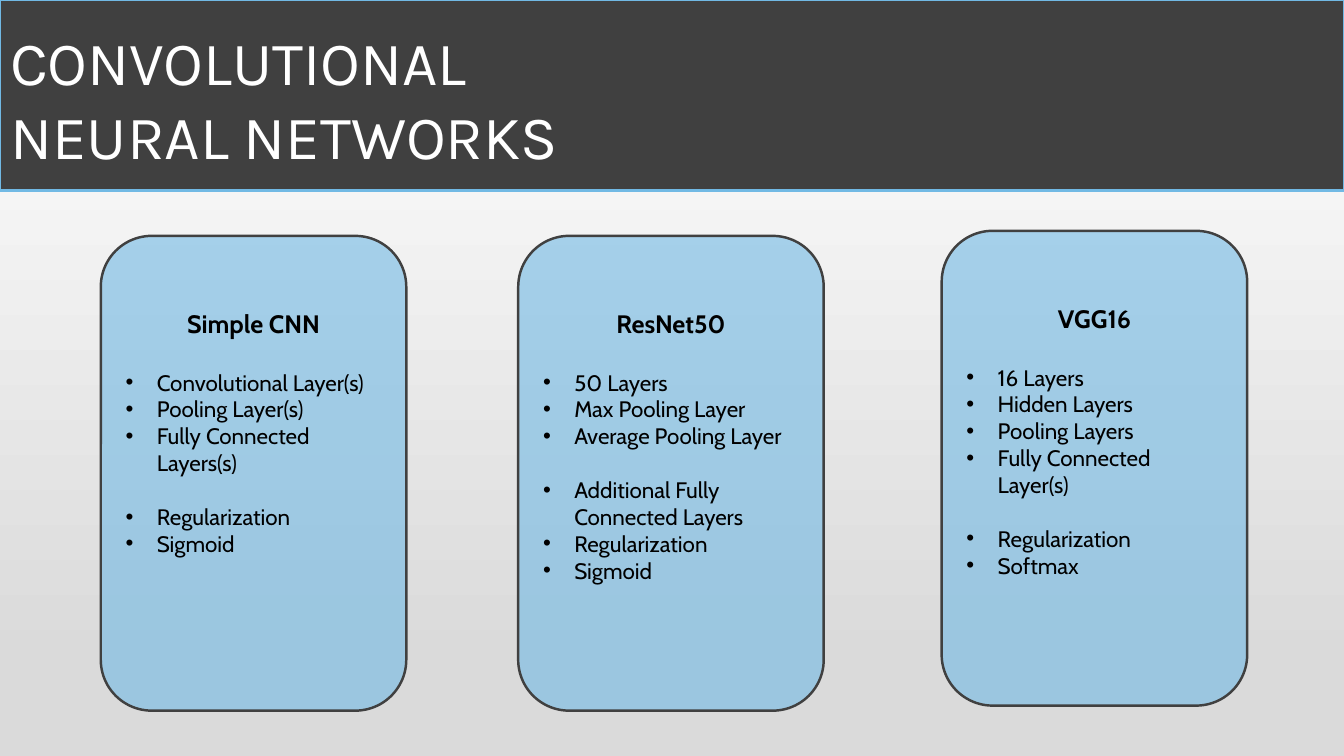
from lxml import etree
from pptx import Presentation
from pptx.dml.color import RGBColor
from pptx.enum.shapes import MSO_SHAPE
from pptx.enum.text import MSO_ANCHOR, PP_ALIGN
from pptx.oxml.ns import qn
from pptx.util import Inches, Pt

TITLE = "CONVOLUTIONAL NEURAL NETWORKS"
CARDS = [
    ("Simple CNN", 1, 2.34, [
        ["Convolutional Layer(s)", "Pooling Layer(s)", "Fully Connected Layers(s)"],
        ["Regularization", "Sigmoid"],
    ]),
    ("ResNet50", 5.14, 2.34, [
        ["50 Layers", "Max Pooling Layer", "Average Pooling Layer"],
        ["Additional Fully Connected Layers", "Regularization", "Sigmoid"],
    ]),
    ("VGG16", 9.34, 2.29, [
        ["16 Layers", "Hidden Layers", "Pooling Layers", "Fully Connected Layer(s)"],
        ["Regularization", "Softmax"],
    ]),
]

WHITE = RGBColor(0xFF, 0xFF, 0xFF)
BLACK = RGBColor(0x00, 0x00, 0x00)
CHARCOAL = RGBColor(0x40, 0x40, 0x40)
SILVER = RGBColor(0xDA, 0xDA, 0xDA)
SKY = RGBColor(0x71, 0xB9, 0xE4)
CARD_WIDTH, CARD_HEIGHT = 3.03, 4.71
HEADING_GAP, GROUP_GAP = 21.6, 19.2


def add_box(page, kind, left, top, width, height, fill, line):
    box = page.shapes.add_shape(
        kind, Inches(left), Inches(top), Inches(width), Inches(height))
    box.shadow.inherit = False
    box.fill.solid()
    box.fill.fore_color.rgb = fill
    box.line.color.rgb = line
    box.line.width = Pt(1.75)
    return box


def add_text(para, text, font, size, color, bold=False):
    span = para.add_run()
    span.text = text
    span.font.name = font
    span.font.size = Pt(size)
    span.font.color.rgb = color
    span.font.bold = bold


def add_bullet(para):
    properties = para._p.get_or_add_pPr()
    properties.set("marL", str(Inches(0.31)))
    properties.set("indent", str(Inches(-0.31)))
    etree.SubElement(properties, qn("a:buFont")).set("typeface", "Arial")
    etree.SubElement(properties, qn("a:buChar")).set("char", "•")


def add_card(page, heading, left, top, groups):
    card = add_box(page, MSO_SHAPE.ROUNDED_RECTANGLE, left, top,
                   CARD_WIDTH, CARD_HEIGHT, SKY, CHARCOAL)
    color = card.fill._xPr.find(qn("a:solidFill"))[0]
    etree.SubElement(color, qn("a:alpha")).set("val", "60000")
    frame = card.text_frame
    frame.word_wrap = True
    frame.vertical_anchor = MSO_ANCHOR.TOP
    frame.margin_top = Inches(0.57)
    para = frame.paragraphs[0]
    para.alignment = PP_ALIGN.CENTER
    para.space_after = Pt(HEADING_GAP)
    add_text(para, heading, "Cabin", 18, BLACK, True)
    for group_index, group in enumerate(groups):
        for item_index, item in enumerate(group):
            para = frame.add_paragraph()
            para.alignment = PP_ALIGN.LEFT
            if group_index and not item_index:
                para.space_before = Pt(GROUP_GAP)
            add_bullet(para)
            add_text(para, item, "Cabin", 16, BLACK)


def main():
    deck = Presentation()
    deck.slide_width, deck.slide_height = Inches(13.33), Inches(7.5)
    page = deck.slides.add_slide(deck.slide_layouts[5])

    backdrop = page.background.fill
    backdrop.gradient()
    backdrop.gradient_angle = 270
    for stop, color, position in zip(backdrop.gradient_stops, (WHITE, SILVER), (0, 0.88)):
        stop.color.rgb = color
        stop.position = position

    banner = add_box(page, MSO_SHAPE.RECTANGLE, 0, 0, 13.33, 1.89, CHARCOAL, SKY)
    title = page.shapes.title
    banner._element.addnext(title._element)
    title.left, title.top = Inches(0), Inches(0.19)
    title.width, title.height = Inches(5.96), Inches(3.9)
    frame = title.text_frame
    frame.word_wrap = True
    frame.vertical_anchor = MSO_ANCHOR.TOP
    para = frame.paragraphs[0]
    para.alignment = PP_ALIGN.LEFT
    add_text(para, TITLE, "Karla", 44, WHITE)

    for heading, left, top, groups in CARDS:
        add_card(page, heading, left, top, groups)
    deck.save("out.pptx")


if __name__ == "__main__":
    main()
